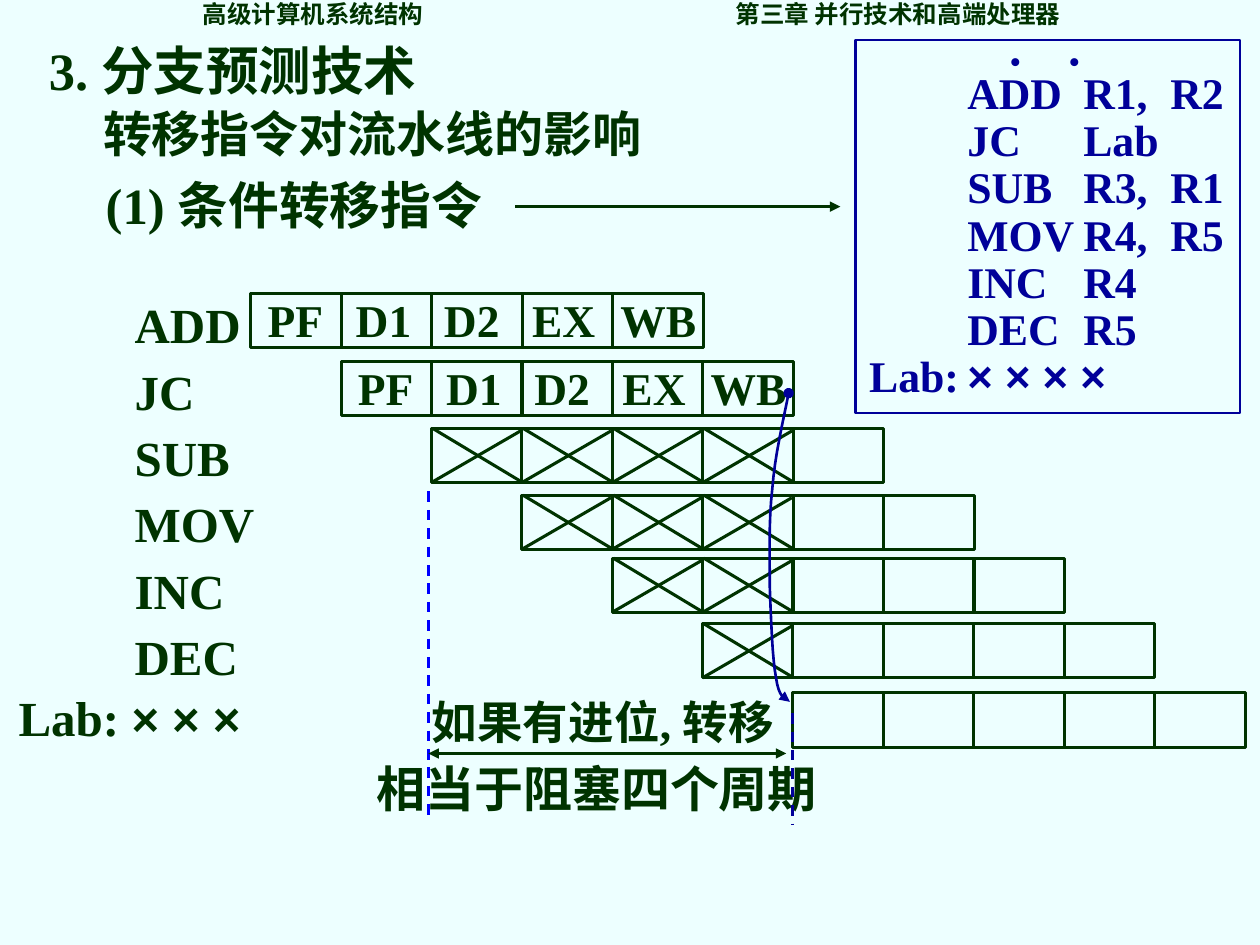
from lxml.etree import SubElement
from pptx import Presentation
from pptx.dml.color import RGBColor
from pptx.enum.dml import MSO_LINE
from pptx.enum.shapes import MSO_CONNECTOR, MSO_SHAPE
from pptx.enum.text import MSO_AUTO_SIZE
from pptx.oxml.ns import qn
from pptx.util import Inches, Pt

GREEN, NAVY, BLUE = "003300", "000099", "0000FF"
SERIF, SANS, HAN = "Times New Roman", "Arial", "Noto Sans CJK SC"


def tint(code):
    return RGBColor.from_string(code)


def grid(count):
    return Inches(count / 10)


class Page:
    def __init__(self, deck, back):
        self.slide = deck.slides.add_slide(deck.slide_layouts[6])
        self.shapes = self.slide.shapes
        fill = self.slide.background.fill
        fill.solid()
        fill.fore_color.rgb = tint(back)

    def stroke(self, shape, color, width, dash=False, head=None, tail=None):
        shape.line.color.rgb = tint(color)
        shape.line.width = Pt(width)
        if dash:
            shape.line.dash_style = MSO_LINE.DASH
        line = shape.element.spPr.find(qn("a:ln"))
        for end, kind in (("a:headEnd", head), ("a:tailEnd", tail)):
            if kind:
                SubElement(line, qn(end), type=kind)

    def line(self, x1, y1, x2, y2, color=GREEN, width=1.76, **style):
        ends = [grid(n) for n in (x1, y1, x2, y2)]
        line = self.shapes.add_connector(MSO_CONNECTOR.STRAIGHT, *ends)
        self.stroke(line, color, width, **style)
        SubElement(line.element.spPr, qn("a:effectLst"))

    def frame(self, x, y, w, h, color=GREEN, width=1.76):
        area = [grid(n) for n in (x, y, w, h)]
        box = self.shapes.add_shape(MSO_SHAPE.RECTANGLE, *area)
        box.shadow.inherit = False
        box.fill.background()
        self.stroke(box, color, width)

    def curve(self, start, parts, color, width, **style):
        points, last = [], start
        for a, b, end in parts:
            for step in range(1, 9):
                t = step / 8
                s = 1 - t
                points.append(tuple(
                    grid(s**3 * p + 3 * s * s * t * q + 3 * s * t * t * r + t**3 * e)
                    for p, q, r, e in zip(last, a, b, end)))
            last = end
        pen = self.shapes.build_freeform(*(grid(n) for n in start))
        pen.add_line_segments(points, close=False)
        path = pen.convert_to_shape()
        path.shadow.inherit = False
        path.fill.background()
        self.stroke(path, color, width, **style)

    def text(self, x, y, w, h, rows, size, color=GREEN, font=SERIF,
             tabs=(), space=None, tall=False):
        box = self.shapes.add_textbox(*(grid(n) for n in (x, y, w, h)))
        frame = box.text_frame
        frame.word_wrap = True
        frame.auto_size = MSO_AUTO_SIZE.SHAPE_TO_FIT_TEXT
        if tall:
            frame.margin_left = frame.margin_right = grid(0.5)
            frame.margin_top = frame.margin_bottom = grid(1)
            box.element.txBody.bodyPr.set("vert", "eaVert")
        for i, row in enumerate(rows):
            para = frame.add_paragraph() if i else frame.paragraphs[0]
            if space:
                para.line_spacing = space
            if tabs:
                stops = SubElement(para._p.get_or_add_pPr(), qn("a:tabLst"))
                for stop in tabs:
                    SubElement(stops, qn("a:tab"), pos=str(grid(stop)), algn="l")
            for part in [row] if isinstance(row, str) else row:
                words, face, points = (part, font, size) if isinstance(part, str) else part
                run = para.add_run()
                run.text = words
                run.font.name = face
                run.font.size = Pt(points)
                run.font.bold = True
                run.font.color.rgb = tint(color)
                east = HAN if face == SERIF else face
                SubElement(run._r.get_or_add_rPr(), qn("a:ea"), typeface=east)


deck = Presentation()
deck.slide_width, deck.slide_height = grid(100), grid(75)
page = Page(deck, "EDFFFF")

page.text(15.1, 0.1, 75, 2.7, ["高级计算机系统结构\t第三章 并行技术和高端处理器"],
          14, font=HAN, tabs=[42.3], space=0.7)
page.text(2.9, 2.5, 40.3, 6, ["3. 分支预测技术"], 30)
page.text(7.2, 7.7, 52.4, 5.7, ["转移指令对流水线的影响"], 28)
page.text(7.4, 13.3, 36.3, 5.9, ["(1) 条件转移指令"], 29)
page.line(40.9, 16.4, 66.7, 16.4, width=1.5, tail="triangle")

code = ["\tADD\tR1,\tR2", "\tJC\tLab", "\tSUB\tR3,\tR1", "\tMOV\tR4,\tR5",
        "\tINC\tR4", "\tDEC\tR5", ["Lab:\t", ("× × × ×", SANS, 25)]]
page.text(68, 5.2, 31, 27.3, code, 25, NAVY, tabs=[7.8, 17, 23.9], space=0.9)
page.text(82.8, 3.5, 6.6, 3.3, [".."], 28, NAVY, tall=True)
page.frame(67.9, 3.2, 30.5, 29.6, NAVY, 1.25)

cell, high = 7.18, 4.3
tops = [23.3, 28.7, 34, 39.3, 44.3, 49.5, 55]
names = ["ADD", "JC", "SUB", "MOV", "INC", "DEC"]
for i, top in enumerate(tops):
    left = 19.9 + 7.17 * i
    page.frame(left, top, 5 * cell, high)
    for k in range(1, 5):
        page.line(left + k * cell, top, left + k * cell, top + high)
    if i < 2:
        page.text(left + 0.35, top - 0.65, 38, 5.4, ["PF\tD1\tD2\tEX\tWB"], 26,
                  tabs=[7, 14, 21, 28])
    else:
        for k in range(6 - i):
            x = left + k * cell
            page.line(x + 0.1, top, x + cell - 0.1, top + high - 0.1)
            page.line(x + cell - 0.1, top + 0.2, x, top + high)
for i, name in enumerate(names):
    page.text(9.7, 22.9 + 5.27 * i, 13.5, 5.7, [name], 28)
page.text(0.5, 54.1, 21.6, 5.7, [["Lab: ", ("× × ×", SANS, 27)]], 28)

page.curve((62.6, 31.2), [
    ((62.1, 33.7), (61.5, 36.2), (61.3, 38.8)),
    ((61, 41.4), (61.1, 44.1), (61.1, 46.6)),
    ((61.2, 49.1), (61.3, 52.3), (61.6, 53.8)),
    ((61.8, 55.3), (62.3, 55.5), (62.7, 55.7)),
], NAVY, 1.5, head="oval", tail="triangle")

page.text(33.3, 54.6, 32.1, 5.4, ["如果有进位, 转移"], 26)
page.text(28.9, 59.7, 40, 5.7, ["相当于阻塞四个周期"], 28)
page.line(34, 39, 34, 64.8, BLUE, 1.5, dash=True)
page.line(62.9, 56.6, 62.9, 65.5, NAVY, 1.5, dash=True)
page.line(34, 59.8, 62.4, 59.8, width=1.5, head="triangle", tail="triangle")

deck.save("out.pptx")
